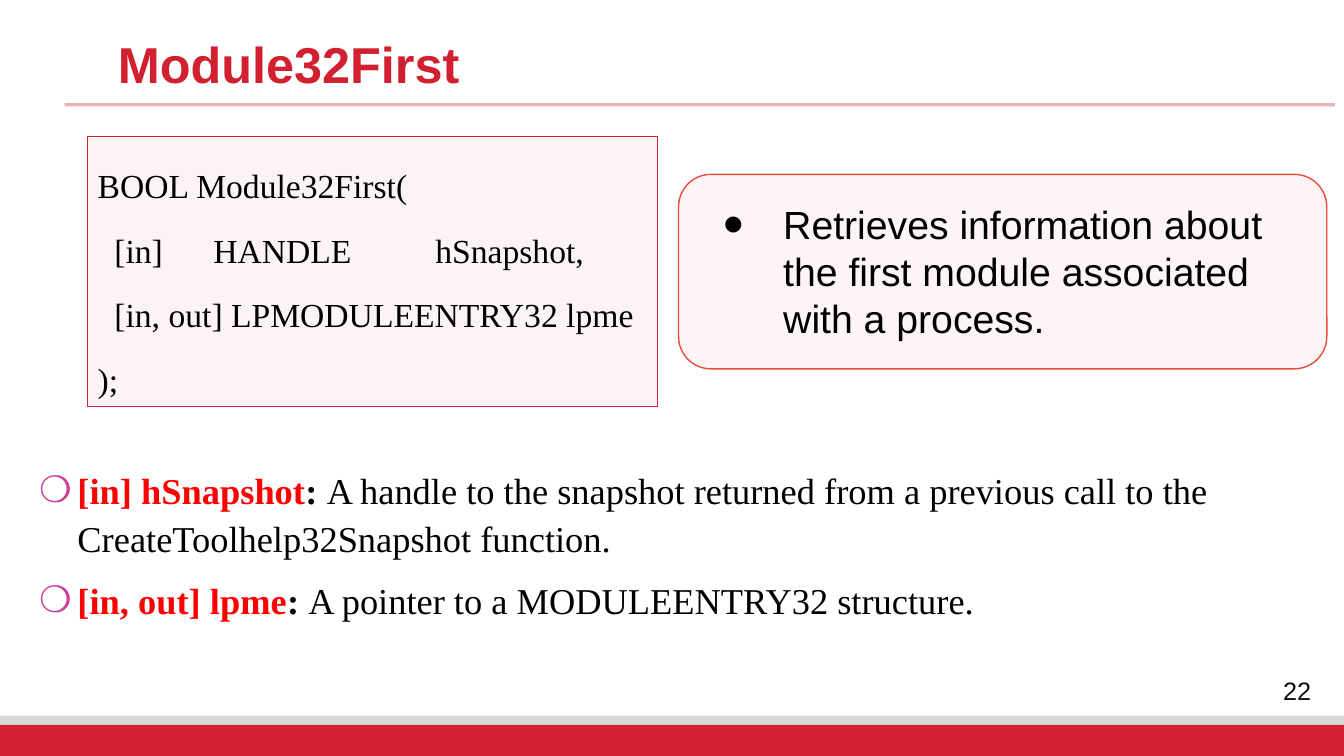
"""Builds the Module32First function reference slide."""
from pptx import Presentation
from pptx.dml.color import RGBColor as RGB
from pptx.enum.shapes import MSO_CONNECTOR as Link, MSO_SHAPE as Shape
from pptx.enum.text import MSO_ANCHOR as Anchor, MSO_AUTO_SIZE as Fit, PP_ALIGN as Align
from pptx.oxml.ns import qn
from pptx.util import Pt
from lxml.etree import SubElement as Sub

SCALE = 9144
HUES = {
    "red": "D1202F", "rule": "C00000", "gray": "D9D9D9", "coral": "E74C3C",
    "key": "FF0000", "ring": "CA3E9D", "black": "000000", "dark": "0D0D0D",
}
SANS, SERIF = "Arial", "Times New Roman"


class Deck:
    def __init__(self, wide, high):
        self.prs = Presentation()
        self.prs.slide_width, self.prs.slide_height = self.emu(wide, high)
        self.slide = self.prs.slides.add_slide(self.prs.slide_layouts[5])
        self.home = self.slide.shapes

    def emu(self, *px):
        return [n * SCALE for n in px]

    def hue(self, name):
        return RGB.from_string(HUES[name])

    def fade(self, fill, alpha):
        color = fill._xPr.find(".//" + qn("a:srgbClr"))
        Sub(color, qn("a:alpha"), val=str(alpha * 1000))

    def rect(self, box, fill, alpha=100, line=0, kind=Shape.RECTANGLE):
        shape = self.home.add_shape(kind, *self.emu(*box))
        shape.shadow.inherit = False
        shape.fill.solid()
        shape.fill.fore_color.rgb = self.hue(fill)
        if alpha < 100:
            self.fade(shape.fill, alpha)
        if line:
            shape.line.color.rgb = self.hue(fill)
            shape.line.width = Pt(line)
        else:
            shape.line.fill.background()
        return shape

    def rule(self, ends, color, alpha, width):
        line = self.home.add_connector(Link.STRAIGHT, *self.emu(*ends))
        line.line.color.rgb = self.hue(color)
        line.line.width = Pt(width)
        self.fade(line.line.fill, alpha)
        Sub(line._element.spPr, qn("a:effectLst"))

    def mark(self, para, sign, left, hang, color=None, size=None):
        props = para._p.get_or_add_pPr()
        props.set("marL", str(left * SCALE))
        props.set("indent", str(-hang * SCALE))
        if color:
            Sub(Sub(props, qn("a:buClr")), qn("a:srgbClr"), val=HUES[color])
        if size:
            Sub(props, qn("a:buSzPct"), val=str(size * 1000))
        Sub(props, qn("a:buFont"), typeface=SANS)
        Sub(props, qn("a:buChar"), char=sign)

    def label(self, shape, paras, size, font=SANS, space=1.0, after=0,
              align=Align.LEFT, anchor=Anchor.TOP, mark=None):
        frame = shape.text_frame
        frame.word_wrap = True
        frame.auto_size = Fit.NONE
        frame.vertical_anchor = anchor
        for i, runs in enumerate(paras):
            para = frame.add_paragraph() if i else frame.paragraphs[0]
            para.alignment = align
            para.line_spacing = space
            para.space_before, para.space_after = Pt(0), Pt(after)
            if mark:
                self.mark(para, **mark)
            for text, color, bold in runs:
                run = para.add_run()
                run.text = text
                run.font.name, run.font.size = font, Pt(size)
                run.font.bold = bold
                run.font.color.rgb = self.hue(color)

    def title(self, box, text, **style):
        head = self.slide.shapes.title
        head.left, head.top, head.width, head.height = self.emu(*box)
        self.label(head, [[(text, "red", True)]], **style)

    def text(self, box, paras, **style):
        self.label(self.home.add_textbox(*self.emu(*box)), paras, **style)

    def group(self):
        self.home = self.slide.shapes.add_group_shape().shapes


def main():
    deck = Deck(1333, 750)
    deck.rect((0, 710, 1333, 40), "gray")
    deck.rect((0, 719, 1333, 31), "red")
    deck.rule((64, 104, 1324, 104), "rule", 30, 2.25)
    deck.text((1241, 665, 91, 39), [[("22", "dark", False)]], size=18,
              align=Align.CENTER, anchor=Anchor.MIDDLE)
    deck.title((107, 35, 1137, 48), "Module32First", size=36, space=0.9)

    terms = [
        ("[in] hSnapshot", "A handle to the snapshot returned from a previous "
         "call to the CreateToolhelp32Snapshot function."),
        ("[in, out] lpme", "A pointer to a MODULEENTRY32 structure."),
    ]
    deck.text(
        (29, 455, 1275, 186),
        [[(name, "key", True), (": ", "black", True), (note, "black", False)]
         for name, note in terms],
        size=26, font=SERIF, space=1.1, after=10,
        mark={"sign": "❍", "left": 38, "hang": 38, "color": "ring"})

    code = [
        "BOOL Module32First(",
        "  [in]      HANDLE          hSnapshot,",
        "  [in, out] LPMODULEENTRY32 lpme",
        ");",
    ]
    panel = deck.rect((87, 135, 565, 268), "red", 5, 0.75)
    deck.label(panel, [[(row, "black", False)] for row in code],
               size=24, font=SERIF, space=1.6)

    deck.group()
    deck.rect((673, 173, 643, 193), "coral", 5, 1, Shape.ROUNDED_RECTANGLE)
    use = "Retrieves information about the first module associated with a process."
    deck.text((688, 194, 614, 151), [[(use, "black", False)]], size=28,
              mark={"sign": "•", "left": 79, "hang": 59, "size": 150})
    deck.prs.save("out.pptx")


if __name__ == "__main__":
    main()
